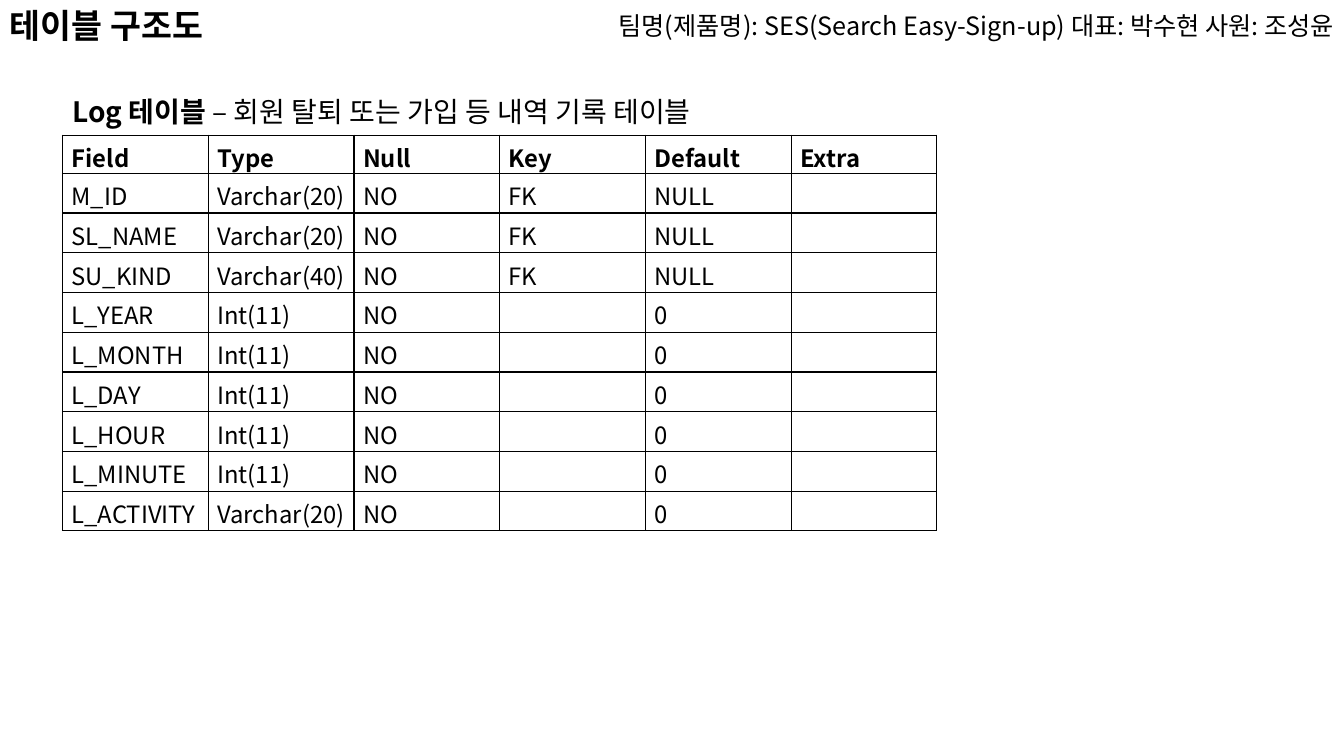
from lxml.etree import SubElement as Sub
from pptx import Presentation
from pptx.dml.color import RGBColor as RGB
from pptx.enum.text import MSO_ANCHOR as ANCHOR, PP_ALIGN as ALIGN
from pptx.oxml import parse_xml
from pptx.oxml.ns import nsdecls, qn
from pptx.util import Pt

FONT = "Noto Sans CJK KR"
INK, PAPER = "000000", "FFFFFF"

TITLE = [("테이블 구조도", True)]
TEAM = [("팀명(제품명): SES(Search Easy-Sign-up) 대표: 박수현 사원: 조성윤", False)]
HEADING = [("Log 테이블 ", True), ("– 회원 탈퇴 또는 가입 등 내역 기록 테이블", False)]

HEAD = ["Field", "Type", "Null", "Key", "Default", "Extra"]
KEYS = [("M_ID", "Varchar(20)"), ("SL_NAME", "Varchar(20)"), ("SU_KIND", "Varchar(40)")]
DATA = [("L_YEAR", "Int(11)"), ("L_MONTH", "Int(11)"), ("L_DAY", "Int(11)"),
        ("L_HOUR", "Int(11)"), ("L_MINUTE", "Int(11)"), ("L_ACTIVITY", "Varchar(20)")]
ROWS = [HEAD]
ROWS += [[name, kind, "NO", "FK", "NULL", ""] for name, kind in KEYS]
ROWS += [[name, kind, "NO", "", "0", ""] for name, kind in DATA]

LEFT, TOP = 44.64, 96.6
COL, ROW = 104.1, 26.7
BOX = 36


def tint(code):
    return RGB.from_string(code)


def write(frame, runs, size=18, align=ALIGN.LEFT, color=INK):
    para = frame.paragraphs[0]
    para.alignment = align
    for text, bold in runs:
        run = para.add_run()
        run.text = text
        font = run.font
        font.size, font.bold, font.name = Pt(size), bold, FONT
        font.color.rgb = tint(color)
        Sub(font._element, qn("a:ea")).set("typeface", FONT)


def label(runs, x, y, wide, **look):
    box = slide.shapes.add_textbox(Pt(x), Pt(y), Pt(wide), Pt(BOX))
    frame = box.text_frame
    frame.word_wrap = True
    frame.vertical_anchor = ANCHOR.MIDDLE
    write(frame, runs, **look)


def frame_cell(cell):
    cell.fill.solid()
    cell.fill.fore_color.rgb = tint(PAPER)
    cell.margin_left = cell.margin_right = Pt(6.5)
    cell.margin_top = cell.margin_bottom = Pt(3.4)
    props = cell._tc.get_or_add_tcPr()
    for spot, side in enumerate(("lnL", "lnR", "lnT", "lnB")):
        props.insert(spot, parse_xml(
            f'<a:{side} {nsdecls("a")} w="{Pt(1)}"><a:solidFill>'
            f'<a:srgbClr val="{INK}"/></a:solidFill></a:{side}>'))


deck = Presentation()
deck.slide_width, deck.slide_height = Pt(960), Pt(540)
slide = deck.slides.add_slide(deck.slide_layouts[6])

label(HEADING, LEFT, 61.2, COL * len(HEAD), size=20)

grid = slide.shapes.add_table(len(ROWS), len(HEAD), Pt(LEFT), Pt(TOP),
                              Pt(COL * len(HEAD)), Pt(ROW * len(ROWS))).table
grid.horz_banding = False
for col in grid.columns:
    col.width = Pt(COL)
for r, row in enumerate(ROWS):
    grid.rows[r].height = Pt(ROW)
    for c, text in enumerate(row):
        cell = grid.cell(r, c)
        frame_cell(cell)
        if text:
            write(cell.text_frame, [(text, r == 0)], size=17)

label(TEAM, 381, 0, 579, align=ALIGN.RIGHT)
label(TITLE, 0, 0, 171.4, size=24)

deck.save("out.pptx")
